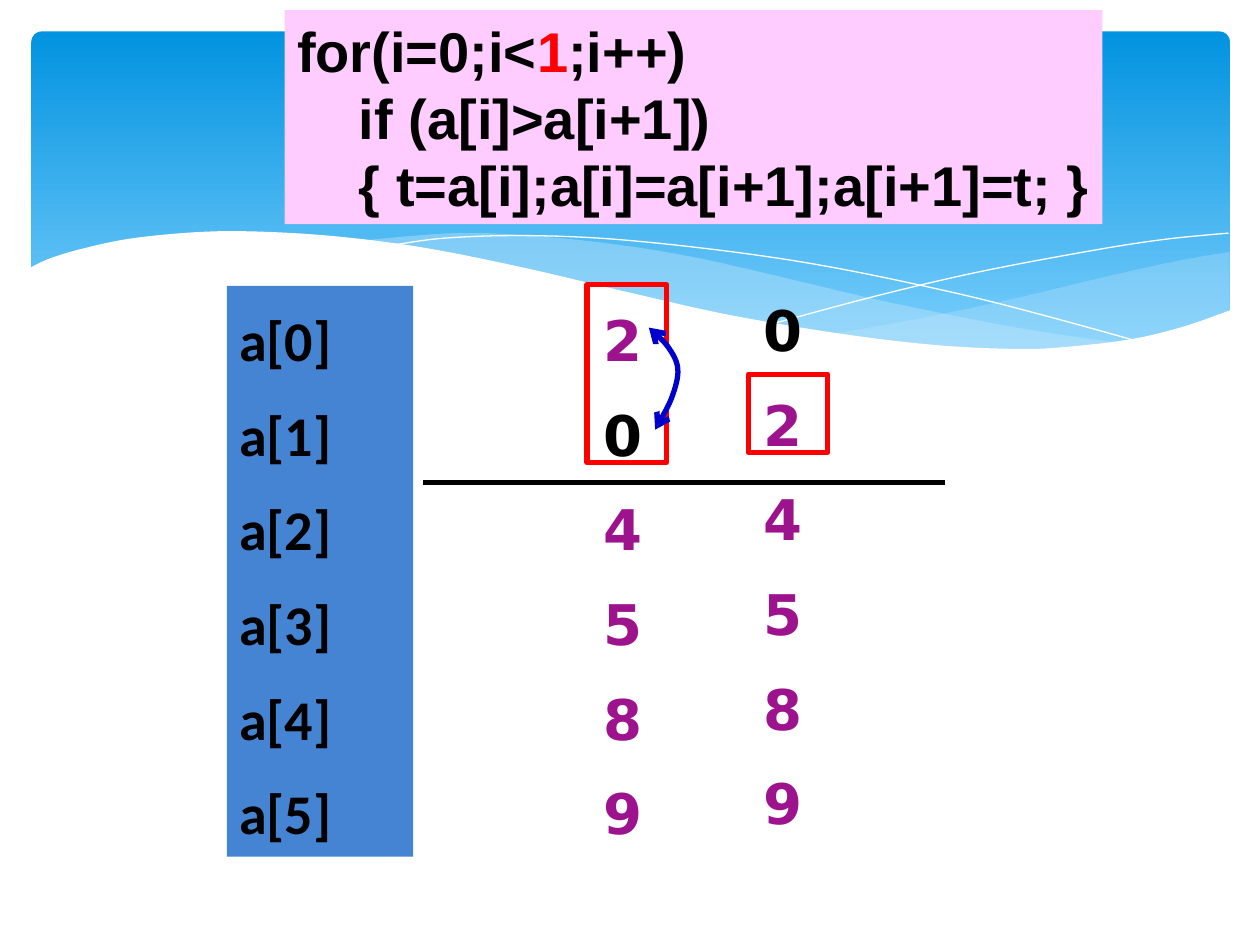
from dataclasses import dataclass

import lxml.etree
import pptx
import pptx.dml.color
import pptx.enum.shapes
import pptx.enum.text
import pptx.oxml.ns
import pptx.util

Inches = pptx.util.Inches
Shapes = pptx.enum.shapes.MSO_SHAPE
Point = tuple[float, float]
PURPLE, BLACK, RED, WHITE = "9D138D", "000000", "FF0000", "FFFFFF"
PALE_BLUE = "C6E7FC"


@dataclass(frozen=True)
class Box:
    left: float
    top: float
    width: float
    height: float

    def lengths(self) -> list[int]:
        return [Inches(value) for value in (self.left, self.top, self.width, self.height)]


@dataclass(frozen=True)
class Run:
    text: str
    color: str = BLACK


@dataclass(frozen=True)
class Column:
    box: Box
    runs: list[Run]
    font: str
    fill: str | None = None


@dataclass(frozen=True)
class Wave:
    curves: list[list[Point]]
    fill: str | None = None
    opacity: int = 100


WAVES = [
    Wave([
        [(9.76, 2), (9.35, 2.07), (8.76, 2.2), (8.05, 2.37), (7.29, 2.53), (6.61, 2.65)],
        [(6.61, 2.65), (7.18, 2.73), (7.69, 2.77), (8.14, 2.78), (8.63, 2.75),
         (9.05, 2.69), (9.42, 2.59), (9.76, 2.47)],
    ], PALE_BLUE, 29),
    Wave([
        [(8.93, 2.73), (8.07, 2.6), (7.06, 2.4), (6.29, 2.22), (5.55, 2.05), (4.89, 1.94),
         (4.2, 1.87), (3.61, 1.85), (2.86, 1.91)],
        [(2.86, 1.91), (3.62, 2.03), (4.49, 2.22), (5.3, 2.4), (6.01, 2.55), (6.65, 2.66),
         (7.36, 2.75), (8.07, 2.79), (8.57, 2.77), (8.93, 2.73)],
    ], PALE_BLUE, 40),
    Wave([[(3.09, 1.95), (3.53, 1.89), (4.16, 1.87), (4.89, 1.9), (5.82, 2), (6.65, 2.13),
           (7.6, 2.33), (8.31, 2.51), (9.07, 2.72)]]),
    Wave([[(6.13, 2.57), (6.95, 2.35), (7.76, 2.16), (8.66, 1.99), (9.24, 1.9), (9.75, 1.85)]]),
    Wave([
        [(9.77, 2.46), (9.4, 2.59), (8.99, 2.69), (8.5, 2.75), (8.09, 2.77), (7.44, 2.74),
         (6.68, 2.65), (5.79, 2.5), (5.03, 2.33), (4.18, 2.13), (3.39, 1.97), (2.71, 1.88),
         (2.11, 1.84), (1.61, 1.84), (1.06, 1.89), (0.67, 1.97), (0.4, 2.05), (0.23, 2.13)],
        [(0.23, 3.29), (9.77, 3.29)],
    ], WHITE),
]
SWAP_CURVE = [(5.2, 3.41), (5.33, 3.16), (5.38, 2.93), (5.3, 2.75), (5.15, 2.6)]


def rgb(color: str) -> pptx.dml.color.RGBColor:
    return pptx.dml.color.RGBColor.from_string(color)


def smooth(knots: list[Point], steps: int = 8) -> list[Point]:
    if len(knots) < 3:
        return knots
    padded = [knots[0], *knots, knots[-1]]
    points = []
    for before, start, end, after in zip(padded, padded[1:], padded[2:], padded[3:]):
        for step in range(steps):
            t = step / steps
            points.append(tuple(
                (2 * b + (c - a) * t + (2 * a - 5 * b + 4 * c - d) * t**2
                 + (3 * b - a - 3 * c + d) * t**3) / 2
                for a, b, c, d in zip(before, start, end, after)
            ))
    return [*points, knots[-1]]


def paint(shape, fill: str | None = None, line: str | None = None, width: float = 3) -> None:
    shape.shadow.inherit = False
    if fill:
        shape.fill.solid()
        shape.fill.fore_color.rgb = rgb(fill)
    else:
        shape.fill.background()
    if line:
        shape.line.color.rgb = rgb(line)
        shape.line.width = pptx.util.Pt(width)
    else:
        shape.line.fill.background()


def add_curve(slide, curves: list[list[Point]], close: bool):
    points = [(Inches(x), Inches(y)) for knots in curves for x, y in smooth(knots)]
    builder = slide.shapes.build_freeform(*points[0])
    builder.add_line_segments(points[1:], close=close)
    return builder.convert_to_shape()


def add_wave(slide, wave: Wave) -> None:
    shape = add_curve(slide, wave.curves, close=wave.fill is not None)
    paint(shape, wave.fill, None if wave.fill else WHITE, 0)
    if wave.opacity < 100:
        color = shape._element.spPr.find(".//" + pptx.oxml.ns.qn("a:srgbClr"))
        alpha = lxml.etree.SubElement(color, pptx.oxml.ns.qn("a:alpha"))
        alpha.set("val", str(wave.opacity * 1000))


def add_banner(slide) -> None:
    banner = slide.shapes.add_shape(Shapes.ROUNDED_RECTANGLE, *Box(0.25, 0.25, 9.51, 2.7).lengths())
    banner.adjustments[0] = 0.03
    paint(banner)
    banner.fill.gradient()
    banner.fill.gradient_angle = 270
    for stop, color, position in zip(banner.fill.gradient_stops, ("0293E0", "83D3FE"), (0, 1)):
        stop.color.rgb = rgb(color)
        stop.position = position


def add_runs(paragraph, runs: list[Run], font: str) -> None:
    paragraph.alignment = pptx.enum.text.PP_ALIGN.LEFT
    for item in runs:
        run = paragraph.add_run()
        run.text = item.text
        run.font.name = font
        run.font.size = pptx.util.Pt(32)
        run.font.bold = True
        run.font.color.rgb = rgb(item.color)


def set_indent(paragraph, left: float, first: float = 0) -> None:
    properties = paragraph._p.get_or_add_pPr()
    properties.set("marL", str(Inches(left)))
    properties.set("indent", str(Inches(first)))


def add_text_frame(shape, wrap: bool):
    frame = shape.text_frame
    frame.word_wrap = wrap
    frame.vertical_anchor = pptx.enum.text.MSO_ANCHOR.TOP
    return frame


def add_column(slide, column: Column) -> None:
    if column.fill:
        shape = slide.shapes.add_shape(Shapes.RECTANGLE, *column.box.lengths())
        paint(shape, column.fill)
    else:
        shape = slide.shapes.add_textbox(*column.box.lengths())
    frame = add_text_frame(shape, True)
    for index, run in enumerate(column.runs):
        paragraph = frame.add_paragraph() if index else frame.paragraphs[0]
        set_indent(paragraph, 0.38, -0.38)
        paragraph.line_spacing = 1.2
        paragraph.space_before = pptx.util.Pt(8)
        add_runs(paragraph, [run], column.font)


def add_code(slide, box: Box, lines: list[tuple[float, list[Run]]]) -> None:
    shape = slide.shapes.add_shape(Shapes.RECTANGLE, *box.lengths())
    paint(shape, "FFCCFF")
    frame = add_text_frame(shape, False)
    for index, (indent, runs) in enumerate(lines):
        paragraph = frame.add_paragraph() if index else frame.paragraphs[0]
        set_indent(paragraph, indent)
        add_runs(paragraph, runs, "Arial")


def add_frame(slide, box: Box) -> None:
    paint(slide.shapes.add_shape(Shapes.FLOWCHART_PROCESS, *box.lengths()), line=RED)


def add_divider(slide) -> None:
    divider = slide.shapes.add_connector(
        pptx.enum.shapes.MSO_CONNECTOR.STRAIGHT,
        Inches(3.36), Inches(3.83), Inches(7.5), Inches(3.83),
    )
    divider.line.color.rgb = rgb(BLACK)
    divider.line.width = pptx.util.Pt(3)
    lxml.etree.SubElement(divider._element.spPr, pptx.oxml.ns.qn("a:effectLst"))


def add_swap_arrow(slide) -> None:
    arrow = add_curve(slide, [SWAP_CURVE], close=False)
    paint(arrow, WHITE, "0000CC")
    for end in ("a:headEnd", "a:tailEnd"):
        lxml.etree.SubElement(arrow.line._get_or_add_ln(), pptx.oxml.ns.qn(end)).set("type", "arrow")


def digits(text: str) -> list[Run]:
    return [Run(digit, BLACK if digit == "0" else PURPLE) for digit in text]


def main() -> None:
    presentation = pptx.Presentation()
    presentation.slide_width, presentation.slide_height = Inches(10), Inches(7.5)
    slide = presentation.slides.add_slide(presentation.slide_layouts[6])
    add_banner(slide)
    for wave in WAVES:
        add_wave(slide, wave)
    add_divider(slide)
    add_column(slide, Column(Box(4.69, 2.27, 0.78, 4.53), digits("204589"), "DejaVu Sans"))
    add_frame(slide, Box(4.66, 2.26, 0.63, 1.41))
    add_swap_arrow(slide)
    add_column(slide, Column(Box(5.96, 2.19, 0.78, 4.53), digits("024589"), "DejaVu Sans"))
    add_frame(slide, Box(5.94, 2.97, 0.63, 0.62))
    labels = [Run(f"a[{index}]") for index in range(6)]
    add_column(slide, Column(Box(1.8, 2.27, 1.48, 4.53), labels, "Calibri", "4584D3"))
    add_code(slide, Box(2.26, 0.08, 6.49, 1.7), [
        (0, [Run("for(i=0;i<"), Run("1", RED), Run(";i++)")]),
        (0.49, [Run("if (a[i]>a[i+1])")]),
        (0.49, [Run("{ t=a[i];a[i]=a[i+1];a[i+1]=t; }")]),
    ])
    presentation.save("out.pptx")


if __name__ == "__main__":
    main()
